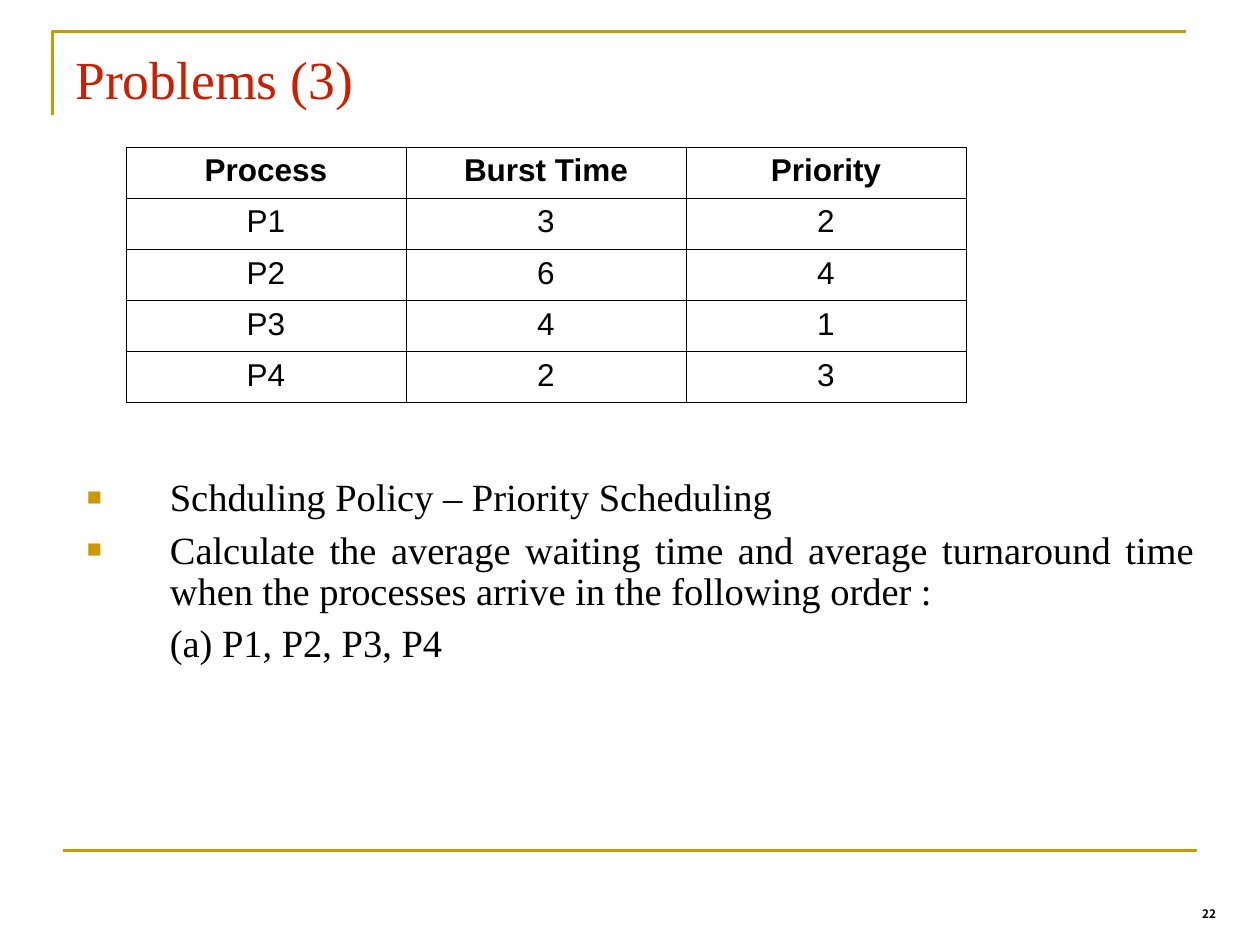
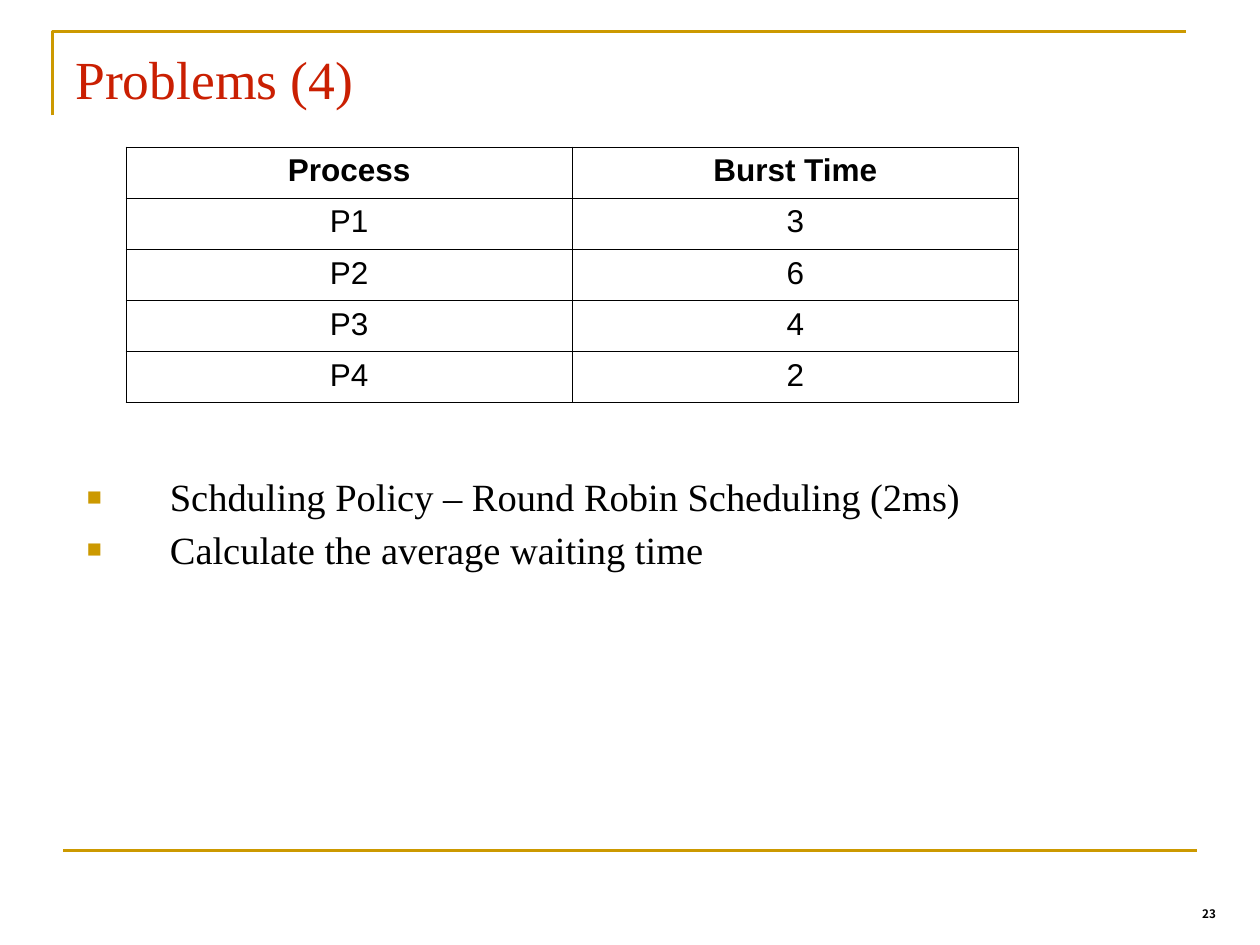
from lxml import etree
from pptx import Presentation
from pptx.dml.color import RGBColor
from pptx.enum import shapes, text
from pptx.oxml import ns
from pptx.util import Pt

GOLD, RED, BLACK, WHITE = "CC9900", "CA1F02", "000000", "FFFFFF"
SERIF, SANS, NUMBER_FONT = "Times New Roman", "Arial", "Noto Sans CJK KR"
ALIGN = text.PP_ALIGN
ROW_HEIGHT = 29.2


def rgb(value):
    """Turn a hex string into a colour."""
    return RGBColor.from_string(value)


def child(parent, tag, **attrs):
    """Append a DrawingML element to a parent."""
    return etree.SubElement(parent, ns.qn(tag), attrs)


def style(p, font, size, color=BLACK, bold=False, align=ALIGN.LEFT):
    """Align a paragraph and format its runs."""
    p.alignment = align
    for r in p.runs:
        r.font.name, r.font.size, r.font.bold = font, Pt(size), bold
        r.font.color.rgb = rgb(color)


def add_text(s, left, top, width, height, anchor=text.MSO_ANCHOR.TOP):
    """Add a wrapping text box and return its text frame."""
    tf = s.shapes.add_textbox(Pt(left), Pt(top), Pt(width), Pt(height)).text_frame
    tf.word_wrap = True
    tf.vertical_anchor = anchor
    return tf


def add_line_text(s, box, value, spacing, font, size, anchor=text.MSO_ANCHOR.TOP, **look):
    """Add a text box that holds one paragraph."""
    tf = add_text(s, *box, anchor=anchor)
    tf.text = value
    p = tf.paragraphs[0]
    p.line_spacing = spacing
    style(p, font, size, **look)


def add_frame(s):
    """Draw the corner rule and the bottom rule."""
    fb = s.shapes.build_freeform(Pt(30), Pt(66))
    fb.add_line_segments([(Pt(30), Pt(18)), (Pt(678), Pt(18))], close=False)
    corner = fb.convert_to_shape()
    corner.fill.background()
    corner.shadow.inherit = False
    rule = s.shapes.add_connector(
        shapes.MSO_CONNECTOR.STRAIGHT, Pt(36), Pt(486), Pt(684), Pt(486))
    child(rule._element.spPr, "a:effectLst")
    for sp in (corner, rule):
        sp.line.color.rgb = rgb(GOLD)
        sp.line.width = Pt(1.5)


def add_borders(cell):
    """Give a cell thin black borders on all sides."""
    tc_pr = cell._tc.get_or_add_tcPr()
    for side in ("a:lnL", "a:lnR", "a:lnT", "a:lnB"):
        ln = child(tc_pr, side, w=str(Pt(0.45)))
        child(child(ln, "a:solidFill"), "a:srgbClr", val=BLACK)


def add_process_table(s, rows, width):
    """Add the process table with equal columns and a bold header."""
    n_cols = len(rows[0])
    table = s.shapes.add_table(len(rows), n_cols, Pt(72), Pt(84), Pt(width),
                               Pt(ROW_HEIGHT * len(rows))).table
    table.first_row = table.horz_banding = False
    for column in table.columns:
        column.width = Pt(width / n_cols)
    for i, row in enumerate(rows):
        table.rows[i].height = Pt(ROW_HEIGHT)
        for j, value in enumerate(row):
            cell = table.cell(i, j)
            add_borders(cell)
            cell.fill.solid()
            cell.fill.fore_color.rgb = rgb(WHITE)
            cell.text = value
            style(cell.text_frame.paragraphs[0], SANS, 18, bold=i == 0, align=ALIGN.CENTER)


def add_bullet(p):
    """Hang a gold square in front of a paragraph."""
    p_pr = p._p.get_or_add_pPr()
    p_pr.set("indent", str(Pt(-47.5)))
    child(child(p_pr, "a:buClr"), "a:srgbClr", val=GOLD)
    child(p_pr, "a:buSzPct", val="65000")
    child(p_pr, "a:buFont", typeface=SANS)
    child(p_pr, "a:buChar", char="■")


def add_tasks(s, tasks, order=None):
    """List the tasks, followed by an indented arrival order if there is one."""
    tf = add_text(s, 31.5, 270, 658, 204)
    lines = tasks + ([order] if order else [])
    tf.text = "\n".join(lines)
    for i, p in enumerate(tf.paragraphs):
        p._p.get_or_add_pPr().set("marL", str(Pt(58.5)))
        if i < len(tasks):
            add_bullet(p)
        p.line_spacing = 0.9
        if i:
            p.space_before = Pt(6)
        style(p, SERIF, 22, align=ALIGN.JUSTIFY)


def add_problem(prs, title, number):
    """Add a slide with the shared rules, title and slide number."""
    s = prs.slides.add_slide(prs.slide_layouts[6])
    add_frame(s)
    add_line_text(s, (552, 516, 150, 18), number, 0.8, NUMBER_FONT, 6.7,
                  bold=True, align=ALIGN.RIGHT)
    add_line_text(s, (36, 21.5, 648, 45.5), title, 0.9, SERIF, 30.6,
                  anchor=text.MSO_ANCHOR.BOTTOM, color=RED)
    return s


def main():
    """Build the two scheduling problems."""
    prs = Presentation()
    prs.slide_width, prs.slide_height = Pt(720), Pt(540)
    rows = [("Process", "Burst Time", "Priority"), ("P1", "3", "2"),
            ("P2", "6", "4"), ("P3", "4", "1"), ("P4", "2", "3")]

    s = add_problem(prs, "Problems (3)", "22")
    add_process_table(s, rows, 480)
    add_tasks(s, ["Schduling Policy – Priority Scheduling",
                  "Calculate the average waiting time and average turnaround time "
                  "when the processes arrive in the following order :"],
              "(a) P1, P2, P3, P4")

    s = add_problem(prs, "Problems (4)", "23")
    add_process_table(s, [row[:2] for row in rows], 510)
    add_tasks(s, ["Schduling Policy – Round Robin Scheduling (2ms)",
                  "Calculate the average waiting time"])
    prs.save("out.pptx")


if __name__ == "__main__":
    main()
